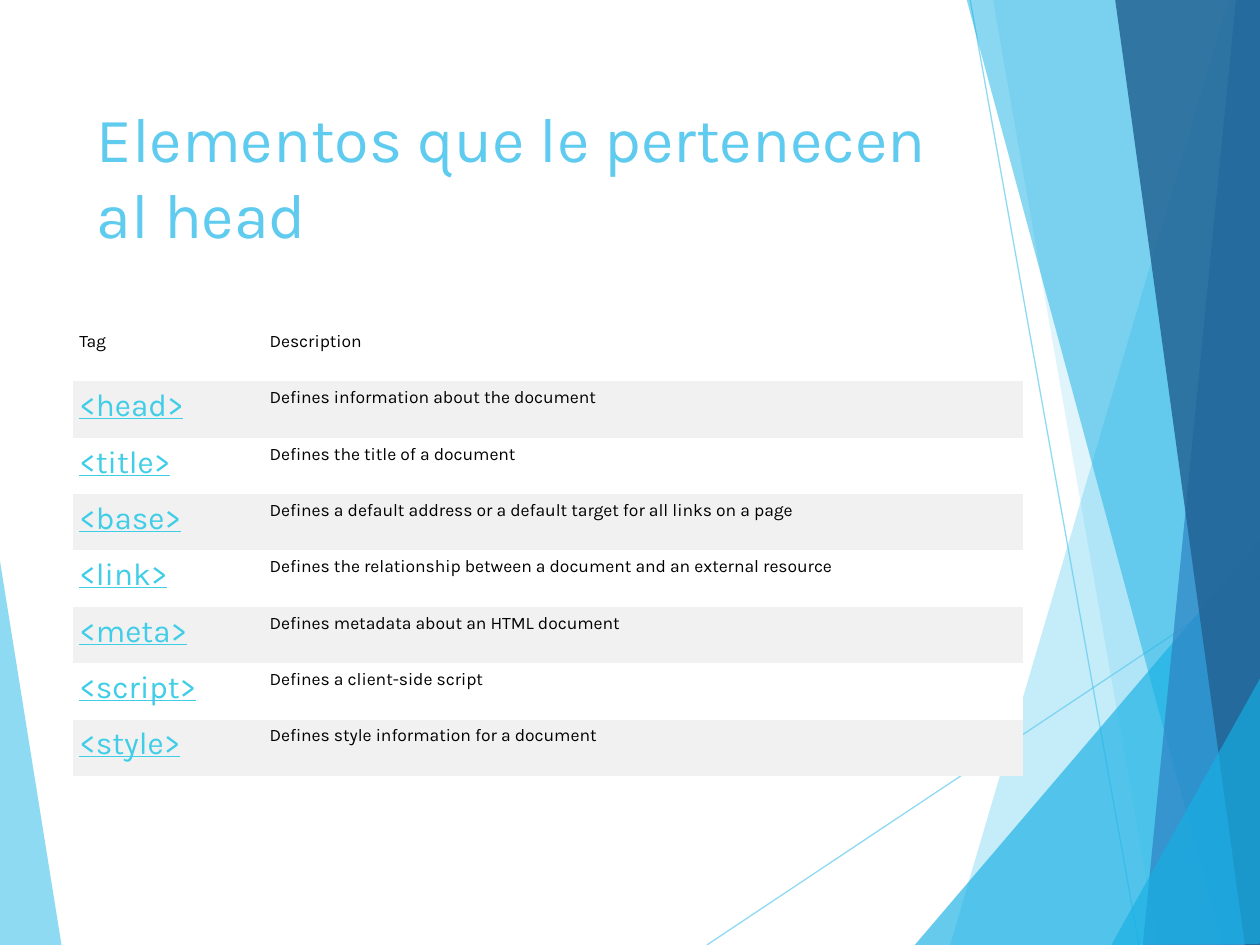
from pptx import Presentation
from pptx.dml.color import RGBColor as Rgb
from pptx.enum.shapes import MSO_CONNECTOR as Conn
from pptx.enum.text import MSO_ANCHOR as Anchor
from pptx.oxml.ns import qn
from pptx.util import Inches, Pt
from lxml.etree import SubElement as Sub

HUES = {"sky": "5FCBEF", "cyan": "17B0E4", "blue": "2E83C3", "navy": "226292",
        "link": "3FCDE7", "ink": "000000", "white": "FFFFFF", "band": "F1F1F1"}
PLAIN = "{2D5ABB26-0587-4C30-8999-92F81FD0307C}"

LEFT = ([(-0.01, 4.39), (0.49, 7.51), (-0.01, 7.5)], "sky", 70)
RAYS = [((5.61, 7.5), (10.01, 4.57)), ((7.7, 0), (9.04, 7.5))]
RIGHT = [
    ([(9.75, 0), (7.54, 7.5), (10.02, 7.51), (10.01, 0.01)], "sky", 36),
    ([(7.88, -0.01), (9.19, 7.5), (10.01, 7.5), (10.01, -0.01)], "sky", 20),
    ([(7.26, 7.5), (10, 4.29), (10.01, 7.5)], "cyan", 66),
    ([(7.67, -0.01), (9.7, 7.5), (10.01, 7.49), (10.01, -0.01)], "cyan", 50),
    ([(9.81, -0.01), (9.07, 7.5), (10.01, 7.5), (10, -0.01)], "blue", 70),
    ([(8.85, -0.01), (9.88, 7.5), (10.02, 7.5), (10, -0.01)], "navy", 82),
    ([(8.82, 7.5), (10.02, 5.35), (10.02, 7.49)], "cyan", 66),
]
TAGS = [
    ("Tag", "Description"),
    ("<head>", "Defines information about the document"),
    ("<title>", "Defines the title of a document"),
    ("<base>", "Defines a default address or a default target for all links on a page"),
    ("<link>", "Defines the relationship between a document and an external resource"),
    ("<meta>", "Defines metadata about an HTML document"),
    ("<script>", "Defines a client-side script"),
    ("<style>", "Defines style information for a document"),
]


class Deck:
    """Hold the style and the current slide."""

    font = "Karla"

    def __init__(self, slide):
        self.slide = slide
        self.shapes = slide.shapes

    def tint(self, fill, hue, alpha=100):
        fill.solid()
        fill.fore_color.rgb = Rgb.from_string(HUES[hue])
        if alpha < 100:
            node = fill._xPr.find(qn("a:solidFill"))[0]
            Sub(node, qn("a:alpha")).set("val", str(alpha * 1000))

    def facet(self, points, hue, alpha):
        dots = [(Inches(x), Inches(y)) for x, y in points]
        pen = self.shapes.build_freeform(*dots[0])
        pen.add_line_segments(dots[1:], close=True)
        shape = pen.convert_to_shape()
        shape.shadow.inherit = False
        self.tint(shape.fill, hue, alpha)
        shape.line.fill.background()

    def ray(self, start, end):
        ends = [Inches(n) for n in start + end]
        line = self.shapes.add_connector(Conn.STRAIGHT, *ends)
        line.line.width = Pt(0.75)
        self.tint(line.line.fill, "sky", 70)
        Sub(line._element.spPr, qn("a:effectLst"))

    def label(self, frame, text, size, hue, under=False):
        run = frame.paragraphs[0].add_run()
        run.text = text
        font = run.font
        font.name, font.size, font.underline = self.font, Pt(size), under
        font.color.rgb = Rgb.from_string(HUES[hue])

    def title(self, text, *box):
        frame = self.shapes.add_textbox(*[Inches(n) for n in box]).text_frame
        frame.word_wrap = True
        frame.vertical_anchor = Anchor.MIDDLE
        self.label(frame, text, 36, "sky")

    def table(self, rows, widths, *box):
        area = [Inches(n) for n in box]
        table = self.shapes.add_table(len(rows), len(widths), *area).table
        table.first_row = table.horz_banding = False
        table._tbl.tblPr.find(qn("a:tableStyleId")).text = PLAIN
        for col, width in zip(table.columns, widths):
            col.width = Inches(width)
        for r, row in enumerate(rows):
            for c, text in enumerate(row):
                cell = table.cell(r, c)
                cell.margin_left = cell.margin_right = Inches(0.05)
                cell.margin_top = cell.margin_bottom = Inches(0.05)
                self.tint(cell.fill, "band" if r % 2 else "white")
                tag = r > 0 and c == 0
                size, hue = (18, "link") if tag else (10, "ink")
                self.label(cell.text_frame, text, size, hue, tag)


def main():
    show = Presentation()
    show.slide_width, show.slide_height = Inches(10), Inches(7.5)
    deck = Deck(show.slides.add_slide(show.slide_layouts[6]))
    deck.facet(*LEFT)
    for ray in RAYS:
        deck.ray(*ray)
    for facet in RIGHT:
        deck.facet(*facet)
    deck.title("Elementos que le pertenecen al head", 0.67, 0.67, 6.94, 1.44)
    deck.table(TAGS, (1.51, 6.03), 0.58, 2.58, 7.54, 3.58)
    show.save("out.pptx")


if __name__ == "__main__":
    main()
